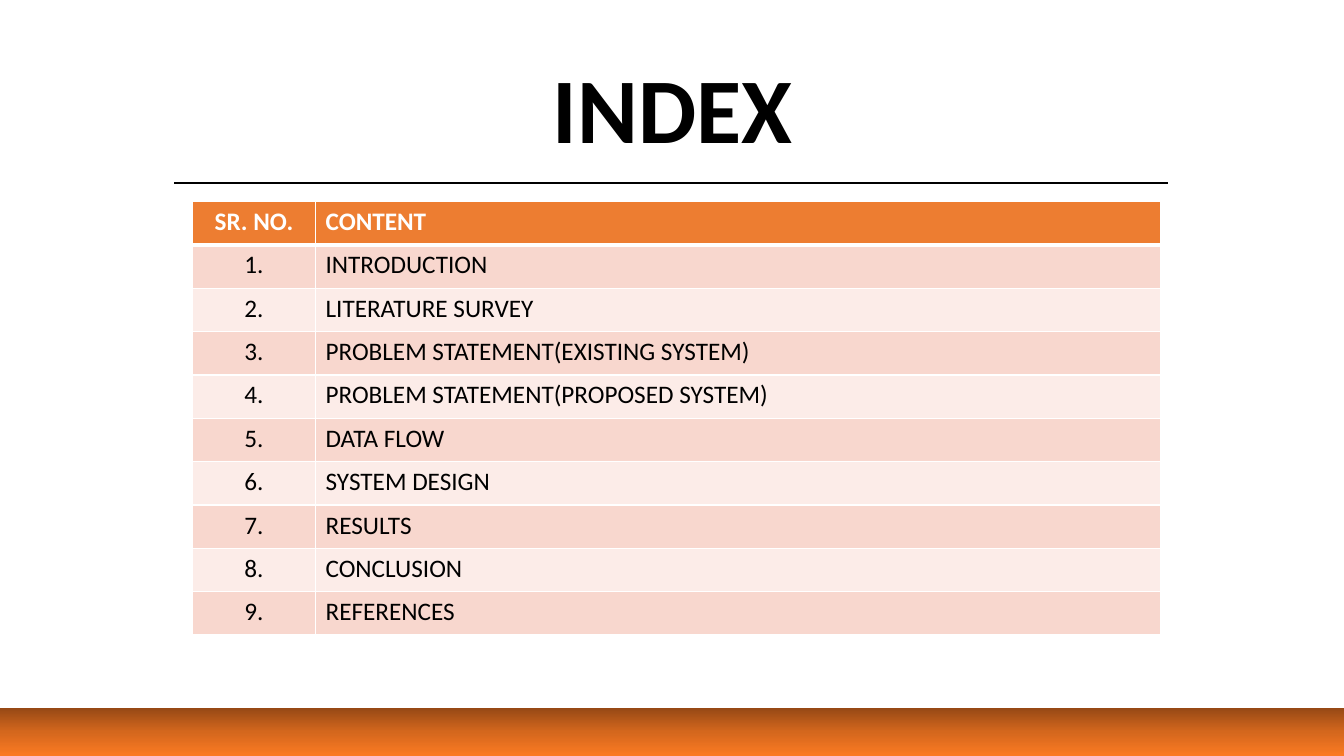
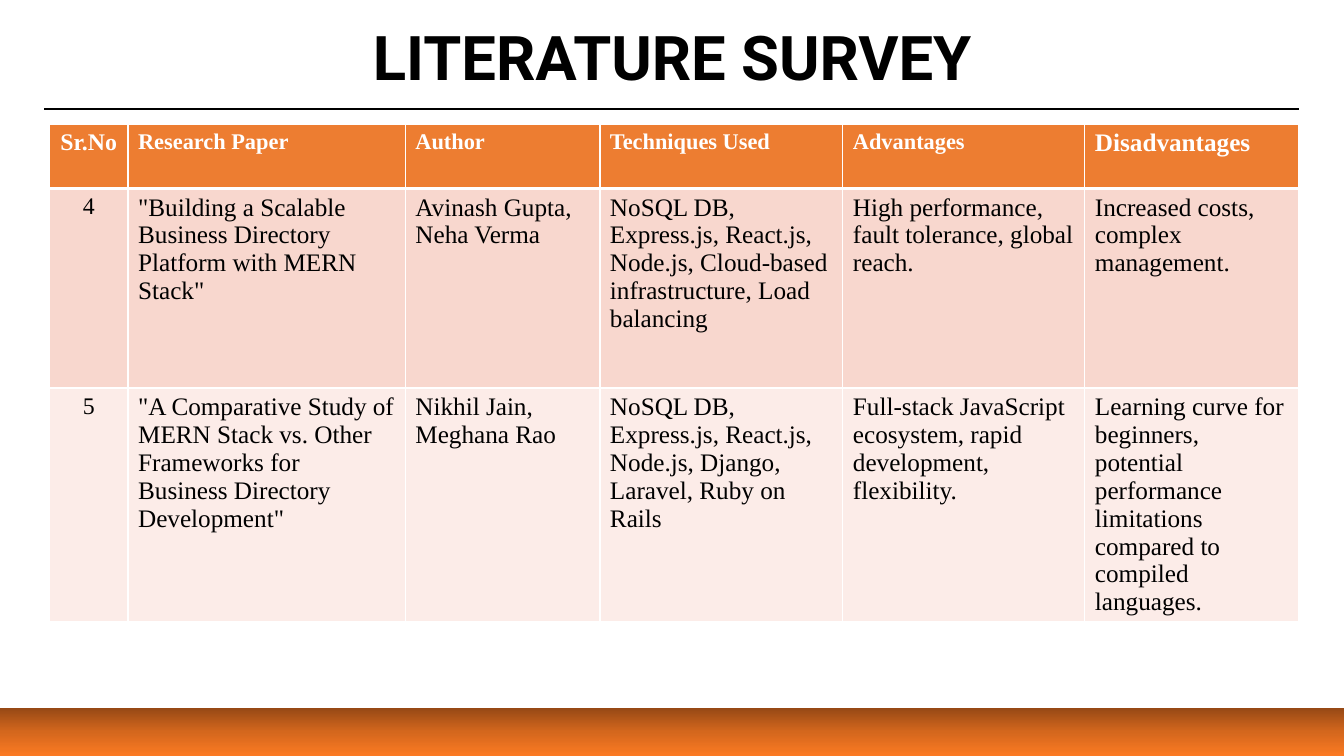
from copy import deepcopy
from dataclasses import dataclass

from lxml.etree import SubElement
from pptx import Presentation
from pptx.dml.color import RGBColor
from pptx.enum.shapes import MSO_CONNECTOR, MSO_SHAPE
from pptx.enum.text import MSO_ANCHOR, MSO_AUTO_SIZE, PP_ALIGN
from pptx.oxml import parse_xml
from pptx.oxml.ns import nsdecls, qn
from pptx.slide import Slide
from pptx.table import _Cell as Cell
from pptx.util import Inches, Pt

BLACK, WHITE = "000000", "FFFFFF"
HEADER_FILL = "ED7D31"
ROW_FILLS = ("F8D7CE", "FCECE8")
BAND_STOPS = ((0, "954815"), (0.5, "D4671D"), (1, "FB7A23"))
SLIDE_W, SLIDE_H, BAND_H = 13.33, 7.5, 0.48
TITLE_ONLY = 5


@dataclass(frozen=True)
class Title:
    text: str
    top: float
    size: int
    font: str


@dataclass(frozen=True)
class Rule:
    left: float
    right: float
    y: float


@dataclass(frozen=True)
class Grid:
    """A table; the sizes are given per column."""
    left: float
    top: float
    cols: tuple[float, ...]
    rows: tuple[float, ...]
    font: str
    header_sizes: tuple[int, ...]
    body_sizes: tuple[int, ...]
    cells: tuple[tuple[str, ...], ...]


@dataclass(frozen=True)
class Page:
    title: Title
    rule: Rule
    grid: Grid


TOPICS = (
    "INTRODUCTION",
    "LITERATURE SURVEY",
    "PROBLEM STATEMENT(EXISTING SYSTEM)",
    "PROBLEM STATEMENT(PROPOSED SYSTEM)",
    "DATA FLOW",
    "SYSTEM DESIGN",
    "RESULTS",
    "CONCLUSION",
    "REFERENCES",
)
INDEX_CELLS = (
    ("SR. NO.", "CONTENT"),
    *((f"{n}.", topic) for n, topic in enumerate(TOPICS, 1)),
)
SURVEY_CELLS = (
    ("Sr.No", "Research Paper", "Author", "Techniques Used", "Advantages", "Disadvantages"),
    (
        "4",
        '"Building a Scalable Business Directory Platform with MERN Stack"',
        "Avinash Gupta, Neha Verma",
        "NoSQL DB, Express.js, React.js, Node.js, Cloud-based infrastructure, Load balancing",
        "High performance, fault tolerance, global reach.",
        "Increased costs, complex management.",
    ),
    (
        "5",
        '"A Comparative Study of MERN Stack vs. Other Frameworks for '
        'Business Directory Development"',
        "Nikhil Jain, Meghana Rao",
        "NoSQL DB, Express.js, React.js, Node.js, Django, Laravel, Ruby on Rails",
        "Full-stack JavaScript ecosystem, rapid development, flexibility.",
        "Learning curve for beginners, potential performance limitations "
        "compared to compiled languages.",
    ),
)
PAGES = (
    Page(
        Title("INDEX", 0.4, 66, "Calibri"),
        Rule(1.73, 11.58, 1.82),
        Grid(1.91, 2, (1.22, 8.38), (0.43,) * len(INDEX_CELLS), "Calibri",
             (18, 18), (18, 18), INDEX_CELLS),
    ),
    Page(
        Title("LITERATURE SURVEY", -0.12, 44, "Roboto"),
        Rule(0.44, 12.88, 1.08),
        Grid(0.49, 1.23, (0.78, 2.75, 1.93, 2.41, 2.4, 2.12), (0.64, 1.98, 2.31),
             "Times New Roman", (17, 16, 16, 16, 16, 18), (17, 18, 18, 18, 18, 18),
             SURVEY_CELLS),
    ),
)


def rgb(color: str) -> RGBColor:
    return RGBColor.from_string(color)


def add_run(p, text: str, font: str, size: int, color: str, bold: bool) -> None:
    r = p.add_run()
    r.text = text
    r.font.name, r.font.size, r.font.bold = font, Pt(size), bold
    r.font.color.rgb = rgb(color)


def set_title(slide: Slide, title: Title) -> None:
    sp = slide.shapes.title
    sp.left, sp.top = Inches(0.92), Inches(title.top)
    sp.width, sp.height = Inches(11.5), Inches(1.45)
    tf = sp.text_frame
    tf.auto_size = MSO_AUTO_SIZE.NONE
    tf.word_wrap = True
    tf.vertical_anchor = MSO_ANCHOR.MIDDLE
    p = tf.paragraphs[0]
    p.alignment, p.line_spacing = PP_ALIGN.CENTER, 0.9
    add_run(p, title.text, title.font, title.size, BLACK, True)


def add_rule(slide: Slide, rule: Rule) -> None:
    y = Inches(rule.y)
    line = slide.shapes.add_connector(
        MSO_CONNECTOR.STRAIGHT, Inches(rule.left), y, Inches(rule.right), y)
    line.line.color.rgb = rgb(BLACK)
    line.line.width = Pt(1.5)
    SubElement(line._element.spPr, qn("a:effectLst"))


def add_band(slide: Slide) -> None:
    sp = slide.shapes.add_shape(
        MSO_SHAPE.RECTANGLE, 0, Inches(SLIDE_H - BAND_H), Inches(SLIDE_W), Inches(BAND_H))
    sp.shadow.inherit = False
    sp.line.fill.background()
    sp.fill.gradient()
    sp.fill.gradient_angle = 270
    stop_list = sp._element.spPr.find(".//" + qn("a:gsLst"))
    stop_list.insert(1, deepcopy(stop_list[0]))
    for stop, (position, color) in zip(sp.fill.gradient_stops, BAND_STOPS):
        stop.position = position
        stop.color.rgb = rgb(color)


def set_borders(cell: Cell, top: int, bottom: int) -> None:
    """Draw white borders, one point wide at the left and right."""
    tc_pr = cell._tc.get_or_add_tcPr()
    widths = {"lnL": 1, "lnR": 1, "lnT": top, "lnB": bottom}
    for i, (tag, width) in enumerate(widths.items()):
        tc_pr.insert(i, parse_xml(
            f'<a:{tag} {nsdecls("a")} w="{Pt(width)}"><a:solidFill>'
            f'<a:srgbClr val="{WHITE}"/></a:solidFill></a:{tag}>'))


def add_grid(slide: Slide, grid: Grid) -> None:
    table = slide.shapes.add_table(
        len(grid.rows), len(grid.cols), Inches(grid.left), Inches(grid.top),
        Inches(sum(grid.cols)), Inches(sum(grid.rows))).table
    for col, width in zip(table.columns, grid.cols):
        col.width = Inches(width)
    for row, height in zip(table.rows, grid.rows):
        row.height = Inches(height)
    for i, texts in enumerate(grid.cells):
        header = i == 0
        fill = HEADER_FILL if header else ROW_FILLS[(i - 1) % 2]
        sizes = grid.header_sizes if header else grid.body_sizes
        for j, (text, size) in enumerate(zip(texts, sizes)):
            cell = table.cell(i, j)
            cell.fill.solid()
            cell.fill.fore_color.rgb = rgb(fill)
            set_borders(cell, top=3 if i == 1 else 1, bottom=3 if header else 1)
            p = cell.text_frame.paragraphs[0]
            p.alignment = PP_ALIGN.LEFT if j else PP_ALIGN.CENTER
            add_run(p, text, grid.font, size, WHITE if header else BLACK, header)


def main() -> None:
    prs = Presentation()
    prs.slide_width, prs.slide_height = Inches(SLIDE_W), Inches(SLIDE_H)
    for page in PAGES:
        slide = prs.slides.add_slide(prs.slide_layouts[TITLE_ONLY])
        set_title(slide, page.title)
        add_band(slide)
        add_grid(slide, page.grid)
        add_rule(slide, page.rule)
    prs.save("out.pptx")


if __name__ == "__main__":
    main()
